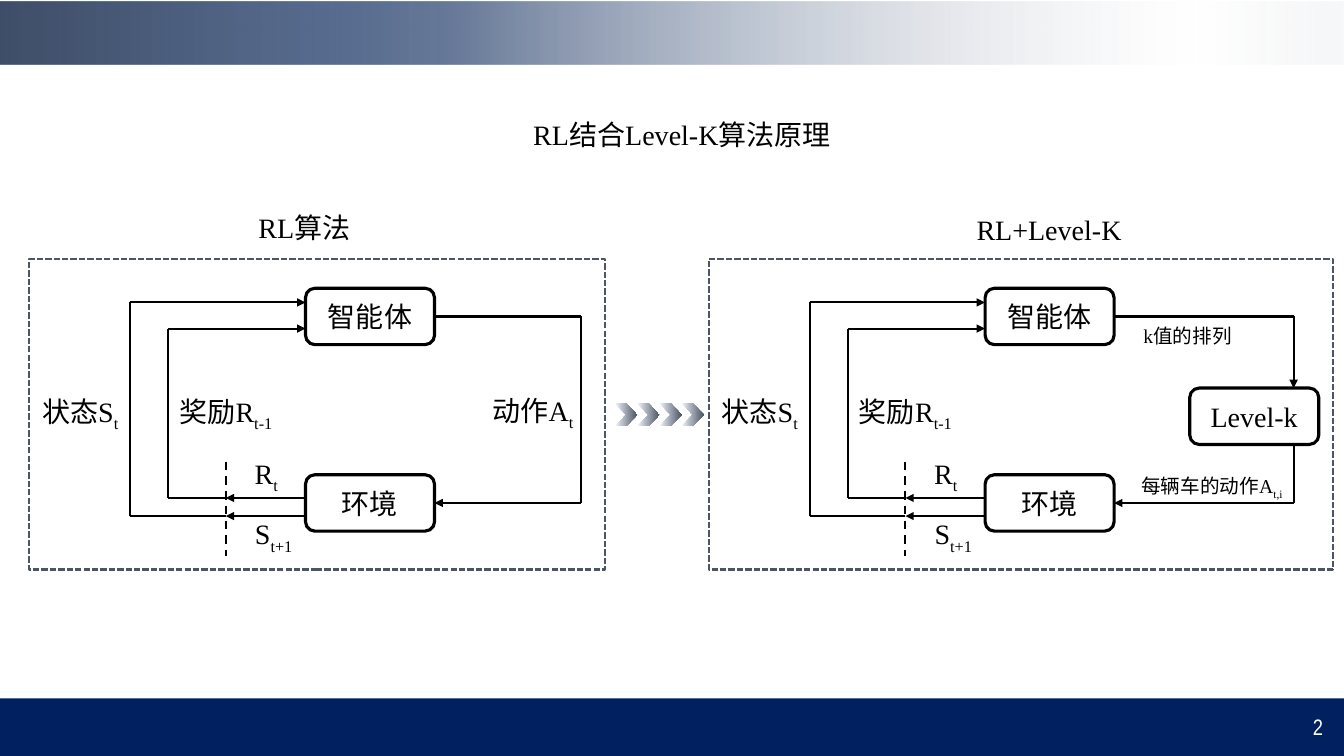
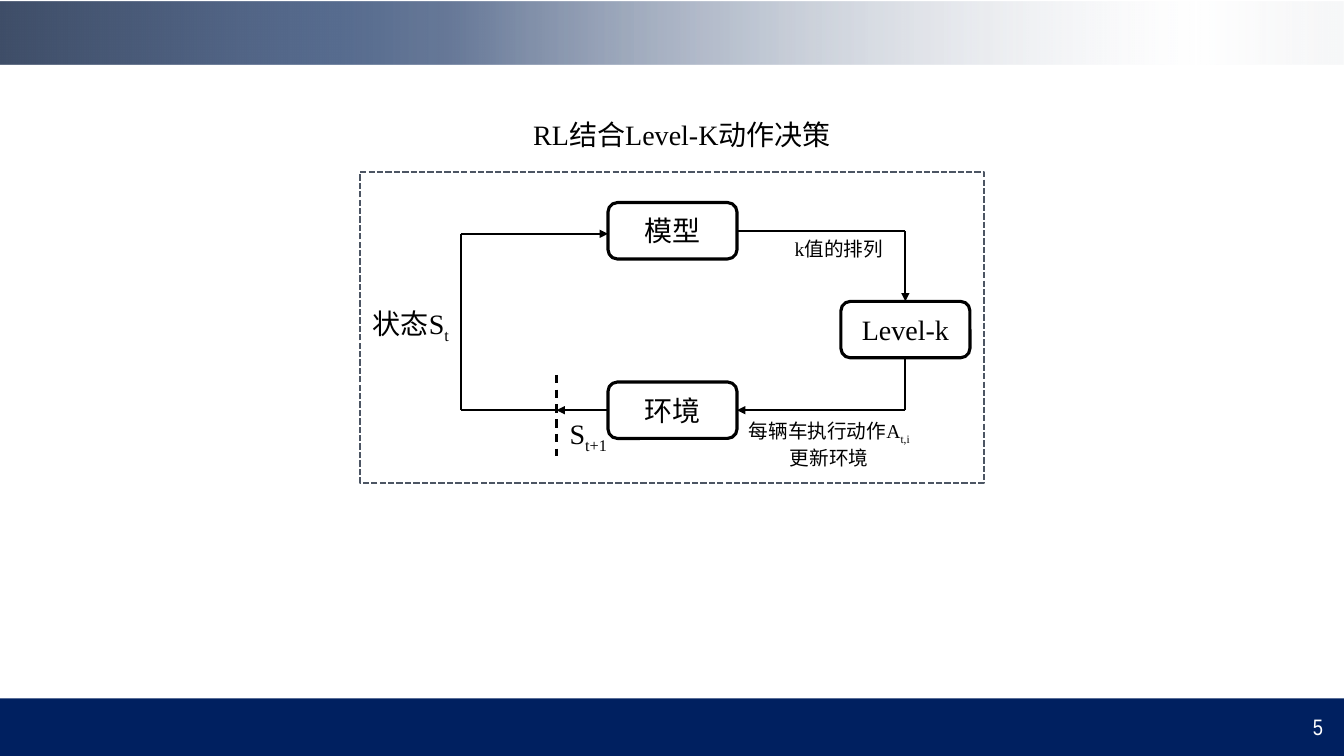
from dataclasses import dataclass

from lxml.etree import SubElement
from pptx import Presentation
from pptx.dml.color import RGBColor
from pptx.enum.dml import MSO_LINE
from pptx.enum.shapes import MSO_CONNECTOR, MSO_SHAPE
from pptx.enum.text import MSO_ANCHOR, PP_ALIGN
from pptx.oxml.ns import qn
from pptx.slide import Slide
from pptx.util import Pt

PX = 9144
PAGE_WIDTH, PAGE_HEIGHT = 1333, 750
TITLE_ONLY = 5

BLACK = RGBColor(0x00, 0x00, 0x00)
WHITE = RGBColor(0xFF, 0xFF, 0xFF)
NAVY = RGBColor(0x00, 0x20, 0x60)
SLATE = RGBColor(0x4C, 0x55, 0x63)
HEADER_STOPS = [
    (0, RGBColor(0x3F, 0x4E, 0x68), 100),
    (18, RGBColor(0x52, 0x65, 0x86), 100),
    (25, RGBColor(0x57, 0x6C, 0x8F), 100),
    (34, RGBColor(0x55, 0x69, 0x8C), 88),
    (89, RGBColor(0xD0, 0xD4, 0xDB), 0),
    (100, RGBColor(0xE1, 0xE4, 0xE8), 27),
]
CHEVRON_STOPS = [
    (0, RGBColor(0xF7, 0xF8, 0xF9), 100),
    (33, RGBColor(0xB9, 0xBF, 0xC9), 100),
    (100, SLATE, 100),
]

LATIN_FONT = "Times New Roman"
CJK_FONT = "Noto Sans CJK SC"
NUMBER_FONT = "Arial Narrow"

TOP, LEFT, BOTTOM, RIGHT = range(4)
NODE_WIDTH, NODE_HEIGHT = 128, 56
LEVEL_K_LEFT, LEVEL_K_TOP = 477, 128
DIVIDER_X, DIVIDER_TOP = 195, 201
PANEL_HEIGHT = 308


def emu(*lengths):
    return [length * PX for length in lengths]


def write(para, pieces, size=20, color=BLACK, font=None, align=PP_ALIGN.CENTER):
    para.alignment = align
    for piece in pieces:
        span = para.add_run()
        span.text = piece.removeprefix("_")
        span.font.size = Pt(size)
        span.font.color.rgb = color
        has_latin = any(letter.isascii() for letter in piece)
        span.font.name = font or (LATIN_FONT if has_latin else CJK_FONT)
        props = span._r.get_or_add_rPr()
        SubElement(props, qn("a:ea")).set("typeface", CJK_FONT)
        if piece.startswith("_"):
            props.set("baseline", "-25000")


def fill_gradient(shape, stops):
    shape.fill.background()
    props = shape.element.spPr
    blank = props.find(qn("a:noFill"))
    gradient = props.makeelement(qn("a:gradFill"), {"rotWithShape": "1"})
    stop_list = SubElement(gradient, qn("a:gsLst"))
    for position, color, opacity in stops:
        stop = SubElement(stop_list, qn("a:gs"), pos=str(position * 1000))
        tint = SubElement(stop, qn("a:srgbClr"), val=str(color))
        if opacity < 100:
            SubElement(tint, qn("a:alpha"), val=str(opacity * 1000))
    SubElement(gradient, qn("a:lin"), ang="0", scaled="0")
    props.replace(blank, gradient)


@dataclass
class Region:
    page: Slide
    left: int = 0
    top: int = 0

    def place(self, x, y):
        return emu(self.left + x, self.top + y)

    def shape(self, kind, x, y, width, height):
        shape = self.page.shapes.add_shape(kind, *self.place(x, y), *emu(width, height))
        shape.shadow.inherit = False
        shape.fill.background()
        shape.line.fill.background()
        return shape

    def outline(self, shape, color, width, dash=None):
        shape.line.color.rgb = color
        shape.line.width = Pt(width)
        shape.line.dash_style = dash

    def frame(self, width):
        frame = self.shape(MSO_SHAPE.RECTANGLE, 0, 0, width, PANEL_HEIGHT)
        self.outline(frame, SLATE, 1.5, MSO_LINE.SQUARE_DOT)

    def node(self, name, x, y):
        node = self.shape(MSO_SHAPE.ROUNDED_RECTANGLE, x, y, NODE_WIDTH, NODE_HEIGHT)
        self.outline(node, BLACK, 2.25)
        write(node.text_frame.paragraphs[0], [name])
        return node

    def label(self, x, y, width, *lines, size=20):
        height = 44 if size == 20 else 34
        box = self.page.shapes.add_textbox(*self.place(x, y), *emu(width, height))
        box.text_frame.word_wrap = True
        for index, pieces in enumerate(lines):
            frame = box.text_frame
            para = frame.add_paragraph() if index else frame.paragraphs[0]
            write(para, pieces, size)

    def line(self, start, end, arrow=False, dash=None, source=None, target=None):
        line = self.page.shapes.add_connector(
            MSO_CONNECTOR.STRAIGHT, *self.place(*start), *self.place(*end))
        self.outline(line, BLACK, 1.5, dash)
        if arrow:
            SubElement(line.line._get_or_add_ln(), qn("a:tailEnd"), type="triangle")
        SubElement(line.element.spPr, qn("a:effectLst"))
        if source:
            line.begin_connect(*source)
        if target:
            line.end_connect(*target)


def add_master_bands(deck, page):
    region = Region(page)
    header = region.shape(MSO_SHAPE.RECTANGLE, 0, 2, PAGE_WIDTH, 62)
    fill_gradient(header, HEADER_STOPS)
    footer = region.shape(MSO_SHAPE.RECTANGLE, 0, 693, PAGE_WIDTH, 57)
    footer.fill.solid()
    footer.fill.fore_color.rgb = NAVY
    for index, band in enumerate((header, footer), start=2):
        deck.slide_master.shapes.element.insert(index, band.element)


def add_page(deck, title, number):
    page = deck.slides.add_slide(deck.slide_layouts[TITLE_ONLY])
    heading = page.shapes.title
    heading.left, heading.top, heading.width, heading.height = emu(507, 112, 339, 44)
    heading.text_frame.vertical_anchor = MSO_ANCHOR.TOP
    write(heading.text_frame.paragraphs[0], [title])
    box = page.shapes.add_textbox(*emu(1199, 703, 123, 36))
    box.text_frame.word_wrap = True
    box.text_frame.vertical_anchor = MSO_ANCHOR.MIDDLE
    write(box.text_frame.paragraphs[0], [number], 16, WHITE, NUMBER_FONT, PP_ALIGN.RIGHT)
    return page


def draw_lane(region, x, top, bottom, node_left, source=None):
    region.line((node_left, bottom), (DIVIDER_X, bottom), arrow=True, source=source)
    region.line((DIVIDER_X, bottom), (x, bottom))
    region.line((x, bottom), (x, top))
    region.line((x, top), (node_left, top), arrow=True)


def draw_divider(region, height):
    region.line((DIVIDER_X, DIVIDER_TOP), (DIVIDER_X, DIVIDER_TOP + height),
                dash=MSO_LINE.DASH)


def draw_turns(region, x, node_left, upper, upper_y, lower, lower_y):
    node_right = node_left + NODE_WIDTH
    region.line((node_right, upper_y), (x, upper_y), source=(upper, RIGHT))
    region.line((x, lower_y), (node_right, lower_y), arrow=True, target=(lower, RIGHT))


def draw_level_k(region, x, upper_y, lower_y):
    node = region.node("Level-k", LEVEL_K_LEFT, LEVEL_K_TOP)
    centred = x == LEVEL_K_LEFT + NODE_WIDTH // 2
    region.line((x, upper_y), (x, LEVEL_K_TOP), arrow=True,
                target=(node, TOP) if centred else None)
    region.line((x, LEVEL_K_TOP + NODE_HEIGHT), (x, lower_y),
                source=(node, BOTTOM) if centred else None)
    region.label(401, 59, 148, ["k值的排列"], size=14)


def draw_learning_loop(region, width, turn_x):
    node_left, agent_top, world_top = 274, 29, 214
    agent_y, world_y = agent_top + NODE_HEIGHT // 2, world_top + NODE_HEIGHT // 2
    region.frame(width)
    agent = region.node("智能体", node_left, agent_top)
    world = region.node("环境", node_left, world_top)
    draw_lane(region, 100, 43, 255, node_left)
    draw_lane(region, 138, 69, 237, node_left)
    draw_divider(region, 94)
    draw_turns(region, turn_x, node_left, agent, agent_y, world, world_y)
    region.label(0, 129, 101, ["状态", "S", "_t"])
    region.label(131, 129, 128, ["奖励", "R", "_t-1"])
    region.label(211, 191, 48, ["R", "_t"])
    region.label(211, 251, 63, ["S", "_t+1"])
    return agent_y, world_y


def draw_plain_panel(region):
    x = 547
    agent_y, world_y = draw_learning_loop(region, 571, x)
    region.line((x, agent_y), (x, world_y))
    region.label(449, 128, 101, ["动作", "A", "_t"])
    region.label(160, -53, 226, ["RL算法"])


def draw_combined_panel(region):
    x = 580
    agent_y, world_y = draw_learning_loop(region, 619, x)
    draw_level_k(region, x, agent_y, world_y)
    region.label(414, 208, 170, ["每辆车的动作A", "_t,i"], size=14)
    region.label(214, -51, 247, ["RL+Level-K"])


def draw_chevrons(region):
    for index in range(4):
        chevron = region.shape(MSO_SHAPE.CHEVRON, 22 * index, 0, 22, 23)
        fill_gradient(chevron, CHEVRON_STOPS)


def draw_decision_panel(region):
    x, node_left, model_top, world_top = 541, 246, 30, 208
    model_y, world_y = model_top + NODE_HEIGHT // 2, world_top + NODE_HEIGHT // 2
    region.frame(619)
    model = region.node("模型", node_left, model_top)
    world = region.node("环境", node_left, world_top)
    draw_lane(region, 100, 61, world_y, node_left, source=(world, LEFT))
    draw_divider(region, 80)
    draw_turns(region, x, node_left, model, model_y, world, world_y)
    draw_level_k(region, x, model_y, world_y)
    region.label(0, 128, 101, ["状态", "S", "_t"])
    region.label(195, 237, 63, ["S", "_t+1"])
    region.label(368, 240, 195, ["每辆车执行动作A", "_t,i"], ["更新环境"], size=14)


def main():
    deck = Presentation()
    deck.slide_width, deck.slide_height = emu(PAGE_WIDTH, PAGE_HEIGHT)

    principle = add_page(deck, "RL结合Level-K算法原理", "2")
    add_master_bands(deck, principle)
    draw_plain_panel(Region(principle, 29, 257))
    draw_chevrons(Region(principle, 610, 400))
    draw_combined_panel(Region(principle, 703, 257))

    decision = add_page(deck, "RL结合Level-K动作决策", "5")
    draw_decision_panel(Region(decision, 357, 171))

    deck.save("out.pptx")


if __name__ == "__main__":
    main()
